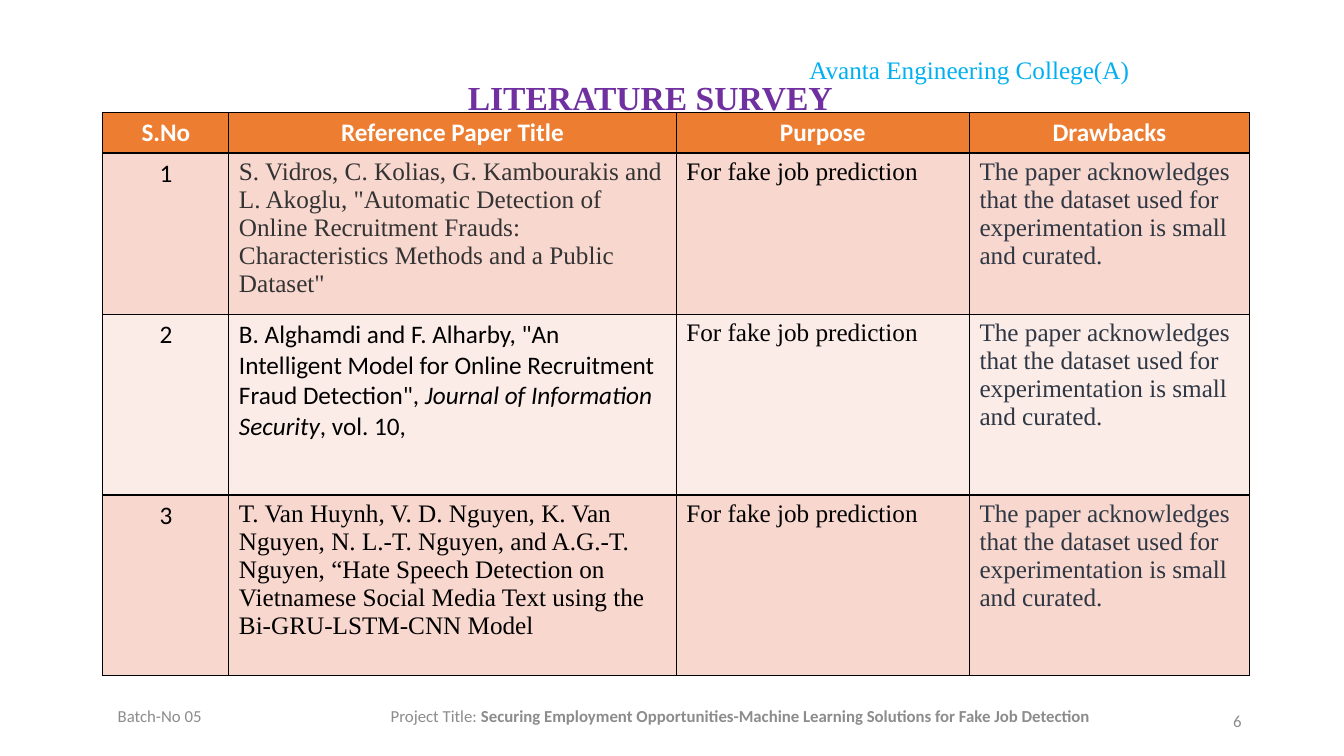
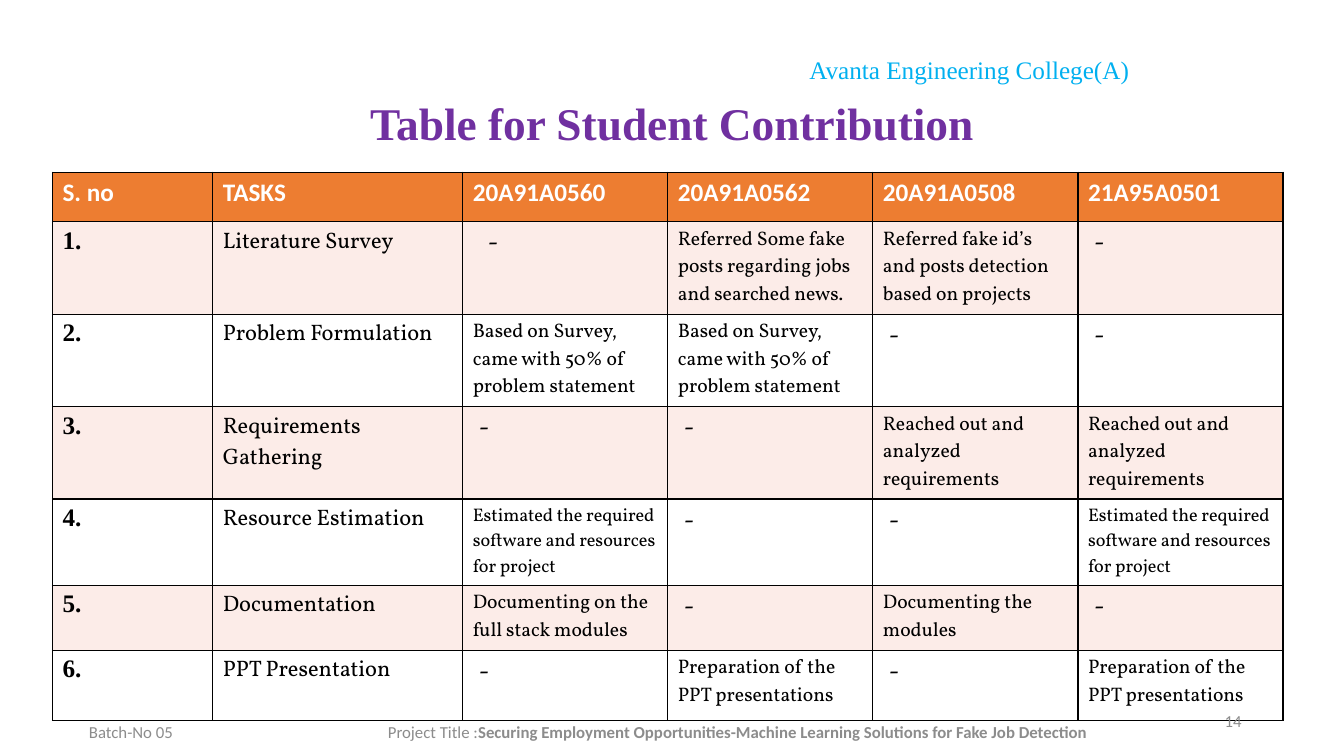
from lxml.etree import SubElement
from pptx import Presentation
from pptx.dml.color import RGBColor
from pptx.enum.text import MSO_ANCHOR, MSO_AUTO_SIZE, PP_ALIGN
from pptx.oxml.ns import qn
from pptx.util import Pt

SERIF, SANS, BOOK = "Times New Roman", "Calibri", "Vollkorn"
ORANGE, ROSE, BLUSH, WHITE, BLACK = "ED7D31", "F8D7CE", "FCECE8", "FFFFFF", "000000"
CHARCOAL, SLATE = "333333", "2E3743"

COLLEGE_STYLE = dict(name=SERIF, size=Pt(18), colour="00B0F0")
FOOTER_STYLE = dict(name=SANS, size=Pt(12), colour="8C8C8C")
HEADER_STYLE = dict(name=SANS, size=Pt(18), bold=True, colour=WHITE)
SANS_STYLE = dict(name=SANS, size=Pt(18), bold=False, colour=BLACK)
SERIF_STYLE = dict(SANS_STYLE, name=SERIF)
TASK_STYLE = dict(SANS_STYLE, name=BOOK, size=Pt(16))

COLLEGE = "Avanta Engineering College(A)"
PROJECT = "Securing Employment Opportunities-Machine Learning Solutions for Fake Job Detection"


def rgb(colour):
    return RGBColor.from_string(colour)


def add_runs(paragraph, runs):
    """Append (text, style) pairs; a style maps font attributes to values."""
    for text, style in runs:
        run = paragraph.add_run()
        run.text = text
        for attribute, value in style.items():
            if attribute == "colour":
                run.font.color.rgb = rgb(value)
            else:
                setattr(run.font, attribute, value)


def add_borders(cell):
    properties = cell._tc.get_or_add_tcPr()
    for side in ("lnL", "lnR", "lnT", "lnB"):
        line = SubElement(properties, qn(f"a:{side}"), w=str(Pt(1)))
        fill = SubElement(line, qn("a:solidFill"))
        SubElement(fill, qn("a:srgbClr"), val=BLACK)


class Deck:
    def __init__(self):
        self.presentation = Presentation()
        self.presentation.slide_width = Pt(960)
        self.presentation.slide_height = Pt(540)
        self.slide = None

    def add_slide(self, title, size, top, height, left):
        layout = self.presentation.slide_layouts[5]
        self.slide = self.presentation.slides.add_slide(layout)
        self.add_text([(COLLEGE, COLLEGE_STYLE)], 571, 35, 260)
        heading = self.slide.shapes.title
        place = dict(left=left, top=top, width=828, height=height)
        for attribute, value in place.items():
            setattr(heading, attribute, Pt(value))
        frame = heading.text_frame
        frame.auto_size = MSO_AUTO_SIZE.NONE
        frame.vertical_anchor = MSO_ANCHOR.MIDDLE
        paragraph = frame.paragraphs[0]
        paragraph.alignment = PP_ALIGN.CENTER
        paragraph.line_spacing = 0.9
        style = dict(name=SERIF, size=Pt(size), bold=True, colour="7030A0")
        add_runs(paragraph, [(title, style)])

    def add_text(self, runs, left, top, width, align=PP_ALIGN.LEFT):
        box = self.slide.shapes.add_textbox(Pt(left), Pt(top), Pt(width), Pt(29))
        frame = box.text_frame
        frame.word_wrap = True
        frame.vertical_anchor = MSO_ANCHOR.MIDDLE
        frame.paragraphs[0].alignment = align
        add_runs(frame.paragraphs[0], runs)

    def add_footer(self, number, label, batch_left, label_left, top):
        self.add_text([(number, FOOTER_STYLE)], 678, 500.5, 216, PP_ALIGN.RIGHT)
        self.add_text([("Batch-No 05", FOOTER_STYLE)], batch_left, top, 100)
        project = (PROJECT, dict(FOOTER_STYLE, bold=True))
        self.add_text([(label, FOOTER_STYLE), project], label_left, top, 560)

    def add_table(self, rows, left, top, widths, heights, bands, centred):
        """Fill a table from rows of run lists.

        bands are the alternating body fills; centred(row, column) tells
        which cells are centred.
        """
        table = self.slide.shapes.add_table(
            len(rows), len(widths), Pt(left), Pt(top),
            Pt(sum(widths)), Pt(sum(heights))).table
        table.horz_banding = False
        for column, width in zip(table.columns, widths):
            column.width = Pt(width)
        for r, (row, height) in enumerate(zip(rows, heights)):
            table.rows[r].height = Pt(height)
            for c, runs in enumerate(row):
                cell = table.cell(r, c)
                add_borders(cell)
                cell.fill.solid()
                cell.fill.fore_color.rgb = rgb(bands[(r - 1) % 2] if r else ORANGE)
                paragraph = cell.text_frame.paragraphs[0]
                if centred(r, c):
                    paragraph.alignment = PP_ALIGN.CENTER
                add_runs(paragraph, runs)
                if runs[0][0] == "-":
                    cell.margin_left = Pt(18 if (r, c) == (1, 2) else 11.5)


def header_row(*names):
    return [[(name, HEADER_STYLE)] for name in names]


def survey_row(number, reference, drawback):
    return [
        [(number, SANS_STYLE)],
        reference,
        [("For fake job prediction", SERIF_STYLE)],
        [(drawback, dict(SERIF_STYLE, colour=SLATE))],
    ]


def task_row(number, task, shares, size=14):
    def share_style(share):
        return dict(TASK_STYLE, size=Pt(18 if share == "-" else size))

    return [
        [(f"{number}.", dict(SERIF_STYLE, bold=True))],
        [(task, TASK_STYLE)],
        *([(share, share_style(share))] for share in shares),
    ]


def build_survey(deck):
    deck.add_slide("LITERATURE SURVEY", 24, top=19.5, height=104, left=50.5)
    vidros = [(
        'S. Vidros, C. Kolias, G. Kambourakis and L. Akoglu, "Automatic Detection of '
        'Online Recruitment Frauds: Characteristics Methods and a Public Dataset"',
        dict(SERIF_STYLE, colour=CHARCOAL))]
    alghamdi = [
        ('B. Alghamdi and F. Alharby, "An Intelligent Model for Online Recruitment '
         'Fraud Detection", ', SANS_STYLE),
        ("Journal of Information Security", dict(SANS_STYLE, italic=True)),
        (", vol. 10,", SANS_STYLE)]
    van_huynh = [(
        "T. Van Huynh, V. D. Nguyen, K. Van Nguyen, N. L.-T. Nguyen, and A.G.-T. "
        "Nguyen, “Hate Speech Detection on Vietnamese Social Media Text using the "
        "Bi-GRU-LSTM-CNN Model", SERIF_STYLE)]
    rows = [
        header_row("S.No", "Reference Paper Title", "Purpose", "Drawbacks"),
        survey_row("1", vidros, "The paper acknowledges that the dataset used for "
                   "experimentation is small and curated."),
        survey_row("2", alghamdi, "The paper acknowledges that the dataset used "
                   "for experimentation is small and curated."),
        survey_row("3", van_huynh, "The paper acknowledges that the dataset "
                   "used for experimentation is small and curated."),
    ]
    deck.add_table(rows, 73.5, 80.5, [90, 319.5, 209.5, 200], [28.5, 107, 129, 129],
                   (ROSE, BLUSH), centred=lambda r, c: r == 0 or c == 0)
    deck.add_footer("6", "Project Title: ", batch_left=77, label_left=272, top=497)


def build_contribution(deck):
    deck.add_slide("Table for Student Contribution", 32.4, top=63, height=54, left=66)
    survey = "Based on Survey, came with 50% of problem statement"
    reached = "Reached out and analyzed requirements"
    estimated = "Estimated the required software and resources for project"
    prepared = "Preparation of the PPT presentations"
    tasks = [
        ("Literature Survey",
         ["-", "Referred Some fake posts regarding jobs and searched news.",
          "Referred fake id’s and posts detection based on projects", "-"]),
        ("Problem Formulation", [survey, survey, "-", "-"]),
        ("Requirements Gathering", ["-", "-", reached, reached]),
        ("Resource Estimation", [estimated, "-", "-", estimated], 13),
        ("Documentation", ["Documenting on the full stack modules", "-",
                           "Documenting the modules", "-"]),
        ("PPT Presentation", ["-", prepared, "-", prepared]),
    ]
    rows = [header_row("S. no", "TASKS", "20A91A0560", "20A91A0562",
                       "20A91A0508", "21A95A0501")]
    rows += [task_row(number, *task) for number, task in enumerate(tasks, 1)]
    deck.add_table(rows, 37.5, 123, [114.5, 178.5] + [146.5] * 4,
                   [35.5, 66, 66, 66, 61.5, 46.5, 50],
                   (BLUSH, WHITE), centred=lambda r, c: False)
    deck.add_footer("14", "Project Title :", batch_left=56.5, label_left=270, top=508)


def main():
    deck = Deck()
    build_survey(deck)
    build_contribution(deck)
    deck.presentation.save("out.pptx")


if __name__ == "__main__":
    main()
